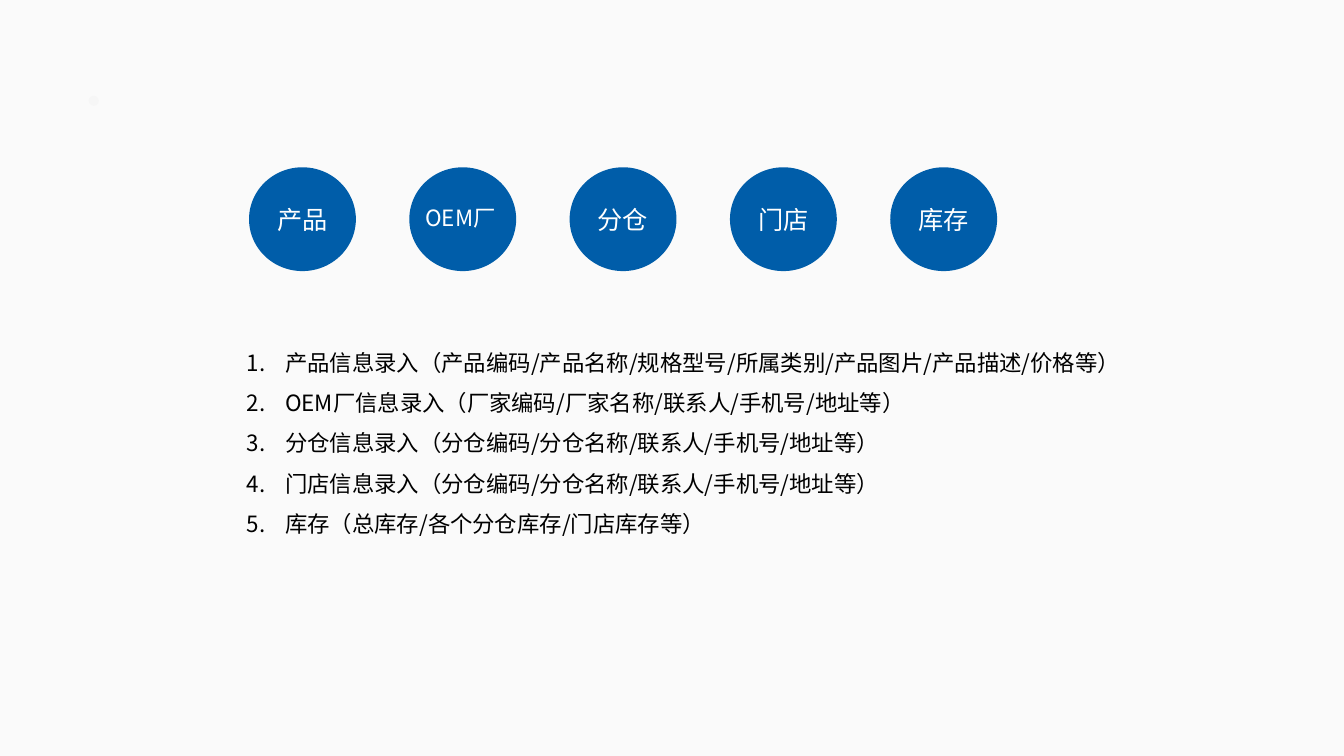
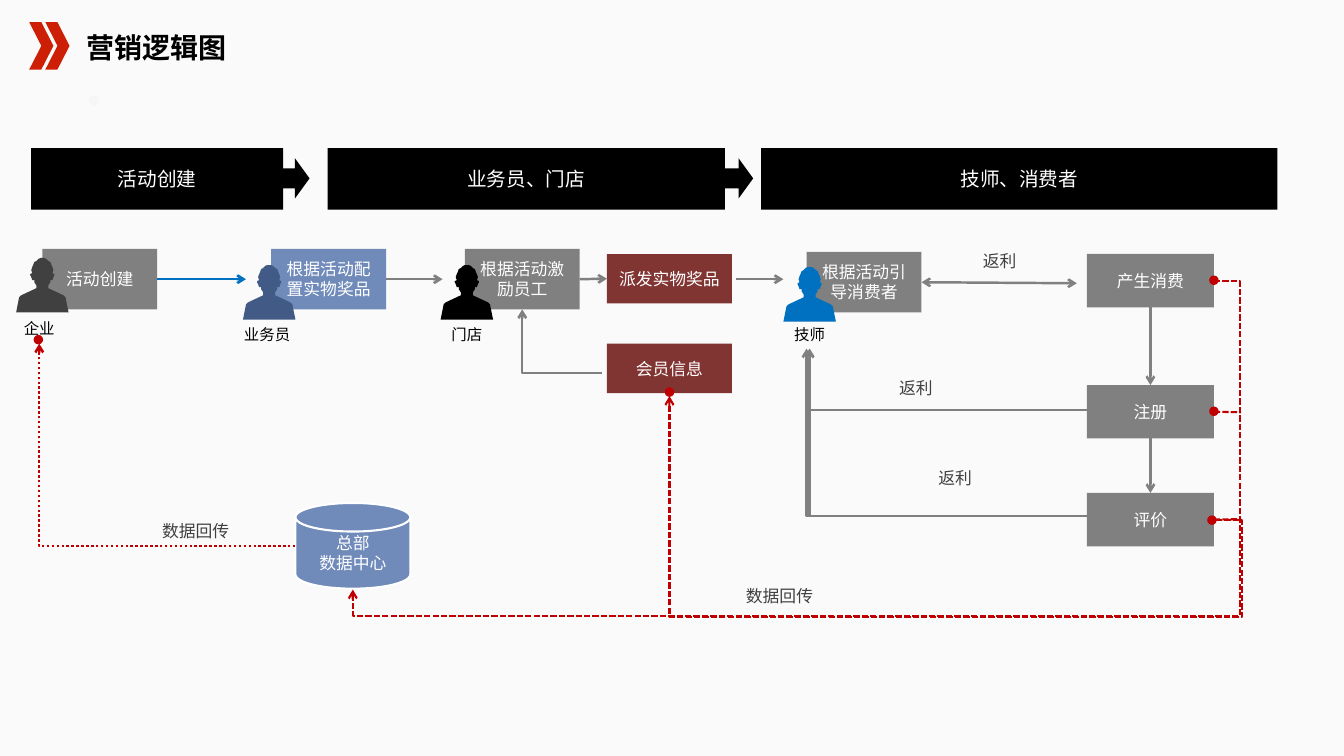
import pptx
import pptx.util
import pptx.dml.color
import pptx.enum.dml
import pptx.enum.shapes
import pptx.enum.text
import pptx.oxml.ns
from lxml import etree

Inches = pptx.util.Inches
Pt = pptx.util.Pt
qn = pptx.oxml.ns.qn
RGB = pptx.dml.color.RGBColor.from_string
SHAPE = pptx.enum.shapes.MSO_SHAPE
CONNECTOR = pptx.enum.shapes.MSO_CONNECTOR
ALIGN = pptx.enum.text.PP_ALIGN
ANCHOR = pptx.enum.text.MSO_ANCHOR
AUTO_SIZE = pptx.enum.text.MSO_AUTO_SIZE
DASH = pptx.enum.dml.MSO_LINE

FONT = "Noto Sans CJK SC"
TITLE_FONT = "Roboto Condensed"
COLORS = {
    "back_top": "FAFAFA", "back_bottom": "FCFCFC", "dot": "F6F6F6",
    "black": "000000", "white": "FFFFFF", "label": "404040",
    "circle": "005DA9", "gray": "808080", "steel": "708BBA",
    "navy": "415A86", "blue": "0070C0", "maroon": "813533",
    "red": "C00000", "chevron": "CD1F06",
}


def add_box(s, kind, at, fill=None, text="", size=12, color="white",
            align=ALIGN.CENTER, wrap=True):
    """Add a filled shape, or a text box when kind is None."""
    at = [Inches(v) for v in at]
    if kind is None:
        sp = s.shapes.add_textbox(*at)
        sp.text_frame.auto_size = AUTO_SIZE.SHAPE_TO_FIT_TEXT
    else:
        sp = s.shapes.add_shape(kind, *at)
        sp.shadow.inherit = False
        sp.fill.solid()
        sp.fill.fore_color.rgb = RGB(COLORS[fill])
        sp.line.fill.background()
        sp.text_frame.vertical_anchor = ANCHOR.MIDDLE
    if text:
        tf = sp.text_frame
        tf.word_wrap = wrap
        tf.text = text
        for p in tf.paragraphs:
            p.alignment = align
            for r in p.runs:
                r.font.size = Pt(size)
                r.font.name = FONT
                r.font.color.rgb = RGB(COLORS[color])
                ea = etree.SubElement(r.font._element, qn("a:ea"))
                ea.set("typeface", FONT)
    return sp


def add_line(s, start, end, color="gray", width=1.75, arrows="end",
             dash=None, bend=None, via=None):
    """Add a connector; bend names an elbow preset, via is its outer corner."""
    kind = CONNECTOR.ELBOW if bend else CONNECTOR.STRAIGHT
    line = s.shapes.add_connector(kind, *[Inches(v) for v in (*start, *end)])
    line.line.color.rgb = RGB(COLORS[color])
    line.line.width = Pt(width)
    if dash:
        line.line.dash_style = dash
    spPr = line.element.spPr
    ln = spPr.find(qn("a:ln"))
    for side, tag in (("start", "a:headEnd"), ("end", "a:tailEnd")):
        if side in arrows:
            etree.SubElement(ln, qn(tag)).set("type", "arrow")
    etree.SubElement(spPr, qn("a:effectLst"))
    if bend:
        geom = spPr.find(qn("a:prstGeom"))
        geom.set("prst", bend)
        if via:
            for i in (0, 1):
                share = (via[i] - start[i]) / (end[i] - start[i])
                gd = etree.SubElement(geom.find(qn("a:avLst")), qn("a:gd"))
                gd.set("name", f"adj{i + 1}")
                gd.set("fmla", f"val {round(share * 100000)}")
    return line


prs = pptx.Presentation()
prs.slide_width = Inches(13.33)
prs.slide_height = Inches(7.5)

# Shared background and dot
master = prs.slide_master
back = master.background.fill
back.gradient()
back.gradient_angle = 270
for stop, name in zip(back.gradient_stops, ("back_top", "back_bottom")):
    stop.color.rgb = RGB(COLORS[name])

# Slide 1: master data
s = prs.slides.add_slide(prs.slide_layouts[6])
dot = add_box(s, SHAPE.OVAL, (0.88, 0.95, 0.1, 0.1), "dot")
master.shapes.element.append(dot.element)

entries = [
    "产品信息录入（产品编码/产品名称/规格型号/所属类别/产品图片/产品描述/价格等）",
    "OEM厂信息录入（厂家编码/厂家名称/联系人/手机号/地址等）",
    "分仓信息录入（分仓编码/分仓名称/联系人/手机号/地址等）",
    "门店信息录入（分仓编码/分仓名称/联系人/手机号/地址等）",
    "库存（总库存/各个分仓库存/门店库存等）",
]
sp = add_box(s, None, (2.35, 3.28, 9.52, 2.12), text="\n".join(entries),
             size=16, color="black", align=ALIGN.JUSTIFY)
for p in sp.text_frame.paragraphs:
    p.line_spacing = 1.5
    pPr = p._p.get_or_add_pPr()
    pPr.set("marL", str(Inches(0.38)))
    pPr.set("indent", str(-Inches(0.38)))
    etree.SubElement(pPr, qn("a:buFont")).set("typeface", "+mj-lt")
    etree.SubElement(pPr, qn("a:buAutoNum")).set("type", "arabicPeriod")

topics = [("产品", 18, 0.7), ("OEM厂", 16, 0.94), ("分仓", 18, 0.7),
          ("门店", 18, 0.7), ("库存", 18, 0.7)]
for i, (topic, size, width) in enumerate(topics):
    left = 2.47 + 1.59 * i
    add_box(s, SHAPE.OVAL, (left, 1.66, 1.06, 1.03), "circle")
    add_box(s, None, (left + (1.06 - width) / 2, 1.98, width, 0.4),
            text=topic, size=size, align=ALIGN.LEFT, wrap=False)

# Slide 2: marketing flow
s = prs.slides.add_slide(prs.slide_layouts[5])
title = s.shapes.title
title.left, title.top = Inches(0.86), Inches(0.3)
title.width, title.height = Inches(3.44), Inches(0.34)
tf = title.text_frame
tf.text = "营销逻辑图"
tf.margin_left = tf.margin_right = tf.margin_top = tf.margin_bottom = 0
tf.vertical_anchor = ANCHOR.MIDDLE
p = tf.paragraphs[0]
p.alignment = ALIGN.LEFT
r = p.runs[0]
r.font.name = TITLE_FONT
r.font.size = Pt(20)
r.font.bold = True
r.font.color.rgb = RGB(COLORS["black"])
for left in (0.29, 0.45):
    add_box(s, SHAPE.CHEVRON, (left, 0.22, 0.24, 0.47), "chevron")

# Phases
for left in (2.78, 7.18):
    add_box(s, SHAPE.RIGHT_ARROW, (left, 1.57, 0.29, 0.4), "black")
for left, width, phase in ((0.31, 2.5, "活动创建"), (3.25, 3.94, "业务员、门店"),
                           (7.55, 5.12, "技师、消费者")):
    add_box(s, SHAPE.RECTANGLE, (left, 1.47, width, 0.61), "black", phase, 14)

# Steps
steps = {}
for name, at, fill, text in (
    ("create", (0.42, 2.47, 1.14, 0.6), "gray", "活动创建"),
    ("prizes", (2.69, 2.47, 1.14, 0.6), "steel", "根据活动配置实物奖品"),
    ("motivate", (4.61, 2.47, 1.14, 0.6), "gray", "根据活动激励员工"),
    ("guide", (8, 2.5, 1.14, 0.6), "gray", "根据活动引导消费者"),
    ("hand_out", (6.02, 2.52, 1.24, 0.49), "maroon", "派发实物奖品"),
    ("members", (6.02, 3.41, 1.24, 0.49), "maroon", "会员信息"),
    ("purchase", (10.78, 2.52, 1.26, 0.53), "gray", "产生消费"),
    ("register", (10.78, 3.82, 1.26, 0.53), "gray", "注册"),
    ("review", (10.78, 4.89, 1.26, 0.53), "gray", "评价"),
):
    steps[name] = add_box(s, SHAPE.RECTANGLE, at, fill, text)

data_center = add_box(s, SHAPE.FLOWCHART_MAGNETIC_DISK, (2.93, 4.99, 1.14, 0.85),
                      "steel", "总部\n数据中心")
data_center.line.color.rgb = RGB(COLORS["white"])
data_center.line.width = Pt(1.5)

# People: right half of the outline in hundredths of an inch, then mirrored
half = [(2.2, 0.3), (4.2, 1.2), (6.2, 2.6), (7.9, 4.5), (9.3, 6.7), (10.3, 9.3),
        (10.7, 12), (10.5, 15), (11.5, 15.5), (11.5, 17), (11, 19), (10, 21.5),
        (8.5, 21.5), (7.5, 24), (5.5, 27), (5.5, 30), (21, 37), (23, 39),
        (25.5, 54)]
outline = half + [(-x, y) for x, y in reversed(half)]
for center, top, fill, role, role_center, role_top in (
    (0.42, 2.56, "label", "企业", 0.39, 3.12),
    (2.67, 2.63, "navy", "业务员", 2.65, 3.18),
    (4.63, 2.63, "black", "门店", 4.63, 3.18),
    (8.03, 2.65, "blue", "技师", 8.03, 3.18),
):
    builder = s.shapes.build_freeform(0, 0, scale=Inches(0.01))
    builder.add_line_segments(outline, close=True)
    person = builder.convert_to_shape(Inches(center), Inches(top))
    person.shadow.inherit = False
    person.fill.solid()
    person.fill.fore_color.rgb = RGB(COLORS[fill])
    person.line.fill.background()
    add_box(s, None, (role_center - 0.33, role_top, 0.66, 0.28), text=role,
            size=11, color="black", wrap=False)

# Straight links: start step and side, end step and side
for start, end, color, arrows, begin, finish in (
    ((1.56, 2.77), (2.44, 2.77), "blue", "end", ("create", 3), None),
    ((3.83, 2.77), (4.39, 2.77), "gray", "end", ("prizes", 3), None),
    ((5.75, 2.77), (6.02, 2.77), "gray", "end", ("motivate", 3), ("hand_out", 1)),
    ((7.3, 2.77), (7.77, 2.77), "gray", "end", None, None),
    ((9.14, 2.8), (10.68, 2.81), "gray", "start end", ("guide", 3), None),
    ((11.41, 3.05), (11.41, 3.82), "gray", "end", ("purchase", 2), ("register", 0)),
    ((11.41, 4.35), (11.41, 4.89), "gray", "end", ("register", 2), ("review", 0)),
):
    line = add_line(s, start, end, color, arrows=arrows)
    if begin:
        line.begin_connect(steps[begin[0]], begin[1])
    if finish:
        line.end_connect(steps[finish[0]], finish[1])

# Elbow links
for start, end in (((5.97, 3.7), (5.18, 3.07)), ((10.78, 4.07), (8.03, 3.46)),
                   ((10.78, 5.12), (8.03, 3.46)), ((10.76, 5.12), (8, 3.46))):
    add_line(s, start, end, bend="bentConnector2")

# Data return
add_line(s, (2.93, 5.42), (0.39, 3.41), "red", dash=DASH.ROUND_DOT,
         bend="bentConnector2")
for start, end, via in (((12.04, 2.79), (3.5, 5.85), (12.3, 6.11)),
                        ((12.06, 5.16), (6.64, 3.93), (12.32, 6.12))):
    add_line(s, start, end, "red", 1.5, dash=DASH.SQUARE_DOT,
             bend="bentConnector4", via=via)
for name, y in (("register", 4.09), ("review", 5.15)):
    line = add_line(s, (12.04, y), (12.31, y), "red", 1.5, "", DASH.SQUARE_DOT)
    line.begin_connect(steps[name], 3)
for left, top in ((6.6, 3.85), (0.34, 3.33), (12, 2.74), (12, 4.04), (11.98, 5.12)):
    node = add_box(s, SHAPE.OVAL, (left, top, 0.08, 0.08), "red")
    node.line.color.rgb = RGB(COLORS["red"])
    node.line.width = Pt(1)

# Link labels
for left, top, width, text in (
    (9.65, 2.44, 0.53, "返利"), (8.82, 3.7, 0.53, "返利"), (9.21, 4.59, 0.53, "返利"),
    (7.3, 5.76, 0.87, "数据回传"), (1.51, 5.12, 0.87, "数据回传"),
):
    add_box(s, None, (left, top, width, 0.3), text=text, color="label",
            align=ALIGN.LEFT, wrap=False)

prs.save("out.pptx")
